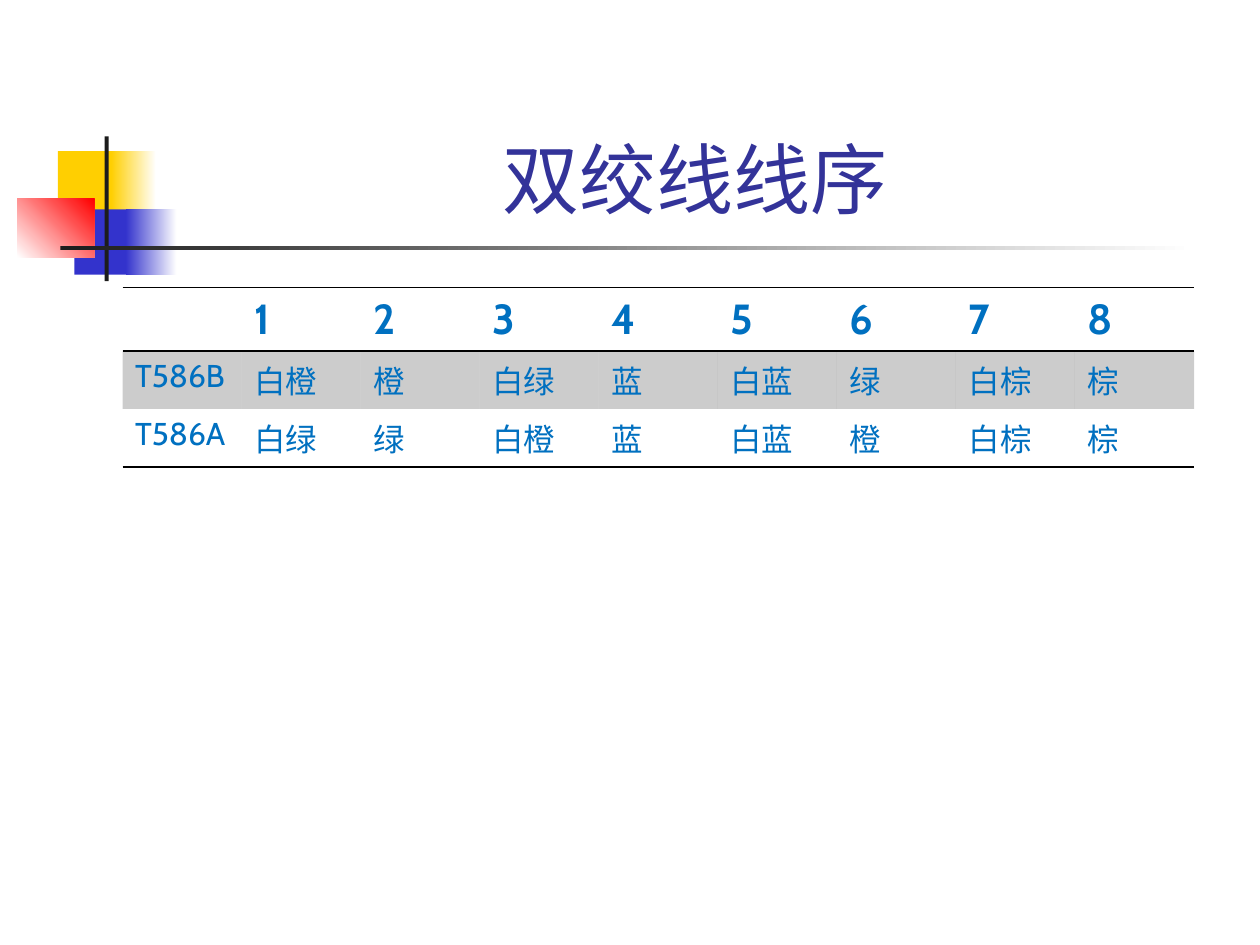
from lxml import etree
from pptx import Presentation, util as u
from pptx.dml.color import RGBColor
from pptx.enum import shapes, text
from pptx.oxml import ns

GOLD = RGBColor(0xFF, 0xCF, 0x01)
BLUE = RGBColor(0x33, 0x33, 0xCC)
RED = RGBColor(0xFF, 0x00, 0x00)
DARK = RGBColor(0x1C, 0x1C, 0x1C)
WHITE = RGBColor(0xFF, 0xFF, 0xFF)
BLACK = RGBColor(0x00, 0x00, 0x00)
NAVY = RGBColor(0x33, 0x33, 0x99)
SKY = RGBColor(0x00, 0x70, 0xC0)

# Content
TITLE = "双绞线线序"
ROWS = [
    ["", "1", "2", "3", "4", "5", "6", "7", "8"],
    ["T586B", "白橙", "橙", "白绿", "蓝", "白蓝", "绿", "白棕", "棕"],
    ["T586A", "白绿", "绿", "白橙", "蓝", "白蓝", "橙", "白棕", "棕"],
]
HEAD = {"size": u.Pt(24), "bold": True}
BODY = {"size": u.Pt(18), "bold": False}
BASE = {"name": "Cabin"}

# Ornament: left, top, width, height in cm, colours, angle
BLOCKS = [
    (1.17, 3.05, 1.22, 1.32, [GOLD], 0),
    (2.24, 3.05, 0.91, 1.32, [GOLD, WHITE], 0),
    (1.5, 4.22, 1.17, 1.32, [BLUE], 0),
    (2.54, 4.22, 1.02, 1.32, [BLUE, WHITE], 0),
    (0.35, 4.01, 1.55, 1.18, [WHITE, RED], 45),
    (2.11, 2.75, 0.08, 2.92, [DARK], 0),
    (1.22, 4.95, 22.86, 0.09, [DARK, WHITE], 0),
]

# Table grid in cm
LEFT, TOP, COL = 2.47, 5.8, 2.4
TALL = [1.27, 1.17, 1.17]


def style(font, color, *sets):
    for group in sets:
        for key, val in group.items():
            setattr(font, key, val)
    font.color.rgb = color


def block(slide, left, top, width, height, tones, angle):
    box = slide.shapes.add_shape(
        shapes.MSO_SHAPE.RECTANGLE, *map(u.Cm, (left, top, width, height)))
    box.shadow.inherit = False
    box.line.fill.background()
    if len(tones) == 1:
        box.fill.solid()
        box.fill.fore_color.rgb = tones[0]
    else:
        box.fill.gradient()
        box.fill.gradient_angle = angle
        for stop, tone in zip(box.fill.gradient_stops, tones):
            stop.color.rgb = tone


def border(cell, shown):
    props = cell._tc.get_or_add_tcPr()
    for side in "LRTB":
        line = etree.SubElement(props, ns.qn(f"a:ln{side}"), w=str(u.Pt(1)))
        if side in shown:
            fill = etree.SubElement(line, ns.qn("a:solidFill"))
            etree.SubElement(fill, ns.qn("a:srgbClr"), val=str(BLACK))
        else:
            etree.SubElement(line, ns.qn("a:noFill"))


def shade(cell, alpha):
    cell.fill.solid()
    cell.fill.fore_color.rgb = BLACK
    tone = cell._tc.tcPr.find(".//" + ns.qn("a:solidFill") + "[last()]")
    tone = cell._tc.tcPr.findall(ns.qn("a:solidFill"))[0][0]
    etree.SubElement(tone, ns.qn("a:alpha"), val=str(alpha * 1000))


def grid(slide):
    count = len(ROWS[0])
    table = slide.shapes.add_table(
        len(ROWS), count, u.Cm(LEFT), u.Cm(TOP),
        u.Cm(COL * count), u.Cm(sum(TALL))).table
    table.first_row = table.horz_banding = False
    for col in table.columns:
        col.width = u.Cm(COL)
    for r, row in enumerate(ROWS):
        table.rows[r].height = u.Cm(TALL[r])
        for c, word in enumerate(row):
            cell = table.cell(r, c)
            border(cell, ("TB", "T", "B")[r])
            if r == 1:
                shade(cell, 20)
            else:
                cell.fill.background()
            cell.text = word
            para = cell.text_frame.paragraphs[0]
            para.alignment = text.PP_ALIGN.LEFT
            for run in para.runs:
                style(run.font, SKY, BASE, BODY if r else HEAD)


def main():
    deck = Presentation()
    deck.slide_width, deck.slide_height = u.Cm(25.4), u.Cm(19.05)
    slide = deck.slides.add_slide(deck.slide_layouts[6])

    # Ornament and rule
    for item in BLOCKS:
        block(slide, *item)

    # Title
    frame = slide.shapes.add_textbox(
        *map(u.Cm, (3.2, 0.58, 21.64, 4.06))).text_frame
    frame.word_wrap = True
    frame.vertical_anchor = text.MSO_ANCHOR.BOTTOM
    para = frame.paragraphs[0]
    para.alignment = text.PP_ALIGN.CENTER
    run = para.add_run()
    run.text = TITLE
    style(run.font, NAVY, {"name": "Arial", "size": u.Pt(44)})

    # Wire order table
    grid(slide)
    deck.save("out.pptx")


if __name__ == "__main__":
    main()
